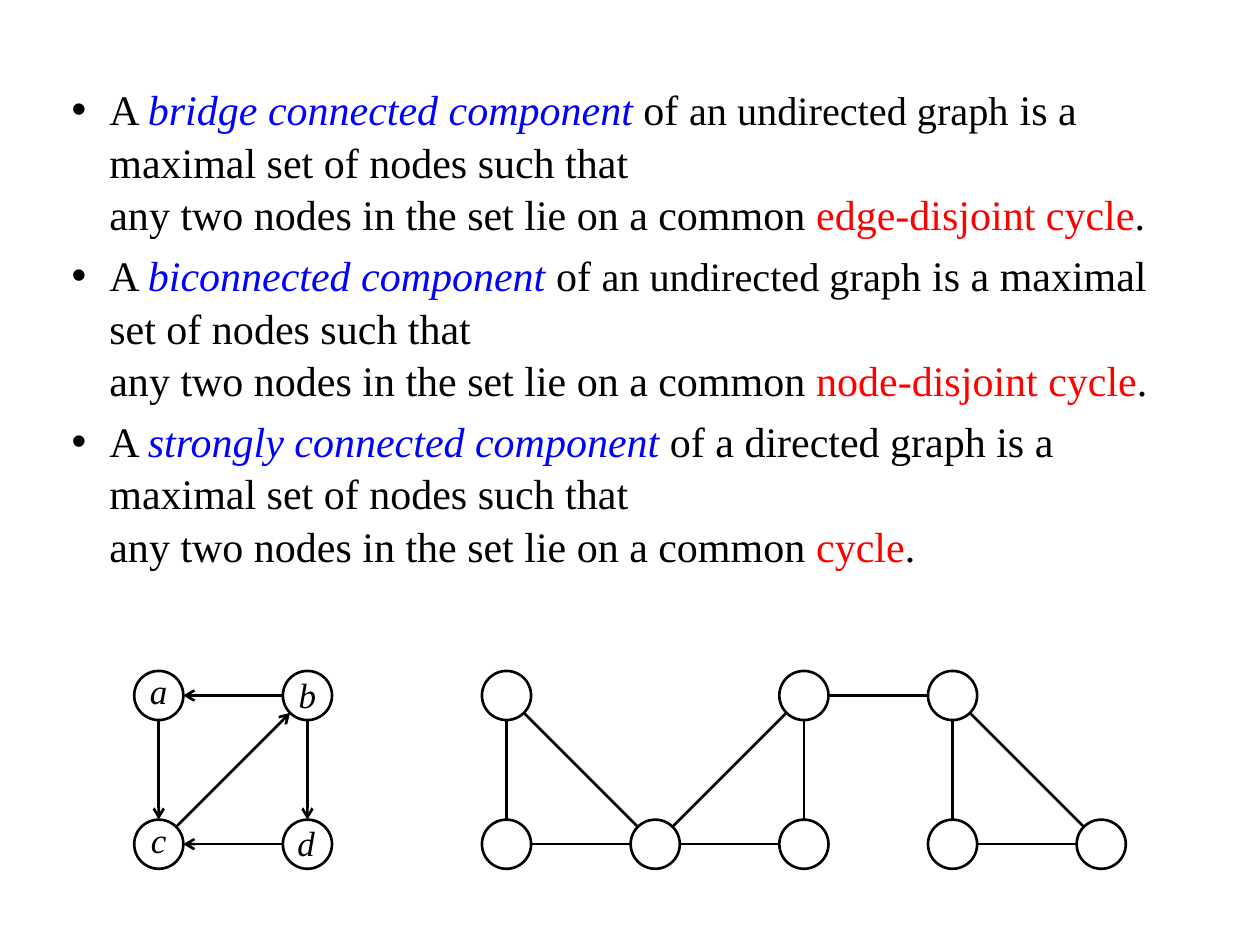
from math import hypot

from lxml import etree
from pptx import Presentation
from pptx.dml.color import RGBColor
from pptx.enum.shapes import MSO_CONNECTOR, MSO_SHAPE
from pptx.enum.text import MSO_ANCHOR, PP_ALIGN
from pptx.oxml.ns import qn
from pptx.util import Inches, Pt

OVAL = MSO_SHAPE.OVAL
STRAIGHT = MSO_CONNECTOR.STRAIGHT
MIDDLE = MSO_ANCHOR.MIDDLE
CENTER = PP_ALIGN.CENTER

BLACK = RGBColor(0, 0, 0)
WHITE = RGBColor(255, 255, 255)
BLUE = RGBColor(0, 0, 255)
RED = RGBColor(255, 0, 0)
FONT = "Times New Roman"

STEP = 1.18
DIAMETER = 0.39
RADIUS = DIAMETER / 2
TOP = 5.52
BOTTOM = TOP + STEP

prs = Presentation()
prs.slide_width, prs.slide_height = Inches(10), Inches(7.5)
slide = prs.slides.add_slide(prs.slide_layouts[6])


def add_edge(start, end, directed):
    """Join two node centres with a line trimmed to the node outlines."""
    (x1, y1), (x2, y2) = start, end
    length = hypot(x2 - x1, y2 - y1)
    dx, dy = (x2 - x1) / length * RADIUS, (y2 - y1) / length * RADIUS
    edge = slide.shapes.add_connector(
        STRAIGHT, Inches(x1 + dx), Inches(y1 + dy), Inches(x2 - dx), Inches(y2 - dy))
    edge.line.color.rgb = BLACK
    edge.line.width = Pt(1.5)
    if directed:
        etree.SubElement(edge.line._get_or_add_ln(), qn("a:tailEnd"), type="arrow")
    etree.SubElement(edge._element.spPr, qn("a:effectLst"))


def add_node(centre):
    x, y = centre
    node = slide.shapes.add_shape(
        OVAL, Inches(x - RADIUS), Inches(y - RADIUS), Inches(DIAMETER), Inches(DIAMETER))
    node.shadow.inherit = False
    node.fill.solid()
    node.fill.fore_color.rgb = WHITE
    node.line.color.rgb = BLACK
    node.line.width = Pt(1.5)
    return node


# Definitions: term, kind of graph, size of that phrase, common cycle
definitions = [
    ("bridge connected component", "an undirected graph", 23, "edge-disjoint cycle"),
    ("biconnected component", "an undirected graph", 23, "node-disjoint cycle"),
    ("strongly connected component", "a directed graph", 24, "cycle"),
]
body = slide.shapes.add_textbox(
    Inches(0.47), Inches(0.6), Inches(9.06), Inches(3.94)).text_frame
body.word_wrap = True
for number, (term, graph, graph_size, cycle) in enumerate(definitions):
    paragraph = body.add_paragraph() if number else body.paragraphs[0]
    props = paragraph._p.get_or_add_pPr()
    props.set("marL", str(Inches(0.3)))
    props.set("indent", str(Inches(-0.3)))
    etree.SubElement(props, qn("a:buFont"), typeface="Arial")
    etree.SubElement(props, qn("a:buChar"), char="•")
    paragraph.line_spacing = 1.04
    if number:
        paragraph.space_before = Pt(5)
    paragraph.font.name = FONT
    pieces = [
        ("A ", BLACK, 24),
        (term, BLUE, 24),
        (" of ", BLACK, 24),
        (graph, BLACK, graph_size),
        (" is a maximal set of nodes such that", BLACK, 24),
        ("\n", None, None),
        ("any two nodes in the set lie on a common ", BLACK, 24),
        (cycle, RED, 24),
        (".", BLACK, 24),
    ]
    for text, color, size in pieces:
        if text == "\n":
            paragraph.add_line_break()
            continue
        run = paragraph.add_run()
        run.text = text
        run.font.name = FONT
        run.font.size = Pt(size)
        run.font.color.rgb = color
        run.font.italic = color == BLUE

# Directed graph: centres and text insets (left, top, right, bottom)
left = 1.26
directed_nodes = {
    "a": ((left, TOP), (0.1, 0, 0.1, 0.08)),
    "b": ((left + STEP, TOP), (0.1, 0.04, 0.1, 0.06)),
    "c": ((left, BOTTOM), (0.1, 0, 0.1, 0.08)),
    "d": ((left + STEP, BOTTOM), (0.08, 0.04, 0.1, 0.06)),
}
for label, (centre, insets) in directed_nodes.items():
    frame = add_node(centre).text_frame
    frame.word_wrap = False
    frame.vertical_anchor = MIDDLE
    (frame.margin_left, frame.margin_top,
     frame.margin_right, frame.margin_bottom) = map(Inches, insets)
    paragraph = frame.paragraphs[0]
    paragraph.text = label
    paragraph.alignment = CENTER
    paragraph.font.name = FONT
    paragraph.font.size = Pt(20)
    paragraph.font.italic = True
    paragraph.font.color.rgb = BLACK
for source, target in ("ba", "cb", "dc", "ac", "bd"):
    add_edge(directed_nodes[source][0], directed_nodes[target][0], True)

# Undirected graph: nodes are numbered by column in each row
upper = {column: (4.02 + column * STEP, TOP) for column in (0, 2, 3)}
lower = {column: (4.02 + column * STEP, BOTTOM) for column in range(5)}
for centre in [*upper.values(), *lower.values()]:
    add_node(centre)
undirected_edges = [
    (lower[0], upper[0]), (lower[0], lower[1]), (upper[0], lower[1]),
    (lower[2], upper[2]), (lower[1], lower[2]), (lower[1], upper[2]),
    (lower[3], upper[3]), (lower[3], lower[4]), (upper[3], lower[4]),
    (upper[2], upper[3]),
]
for start, end in undirected_edges:
    add_edge(start, end, False)

prs.save("out.pptx")
